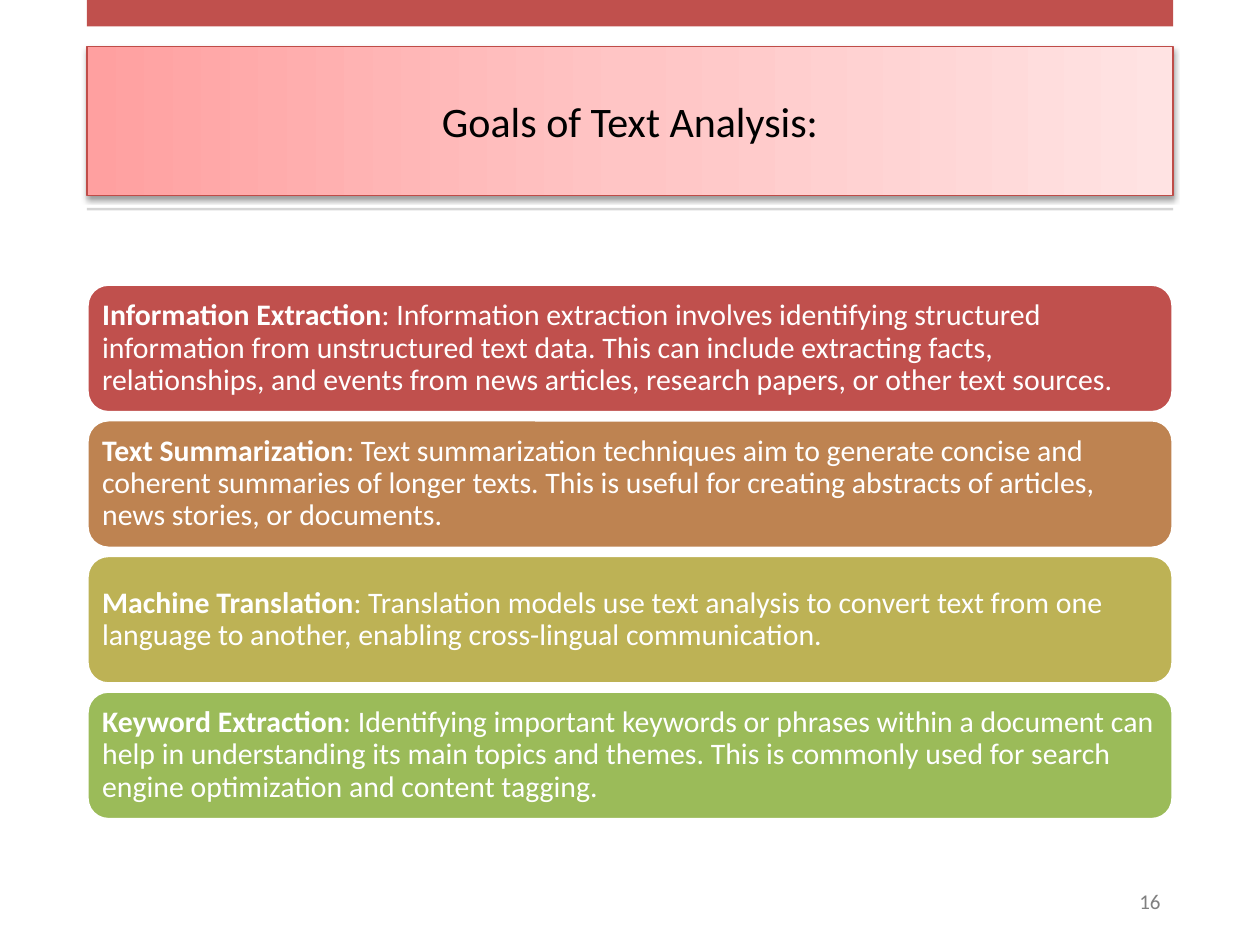
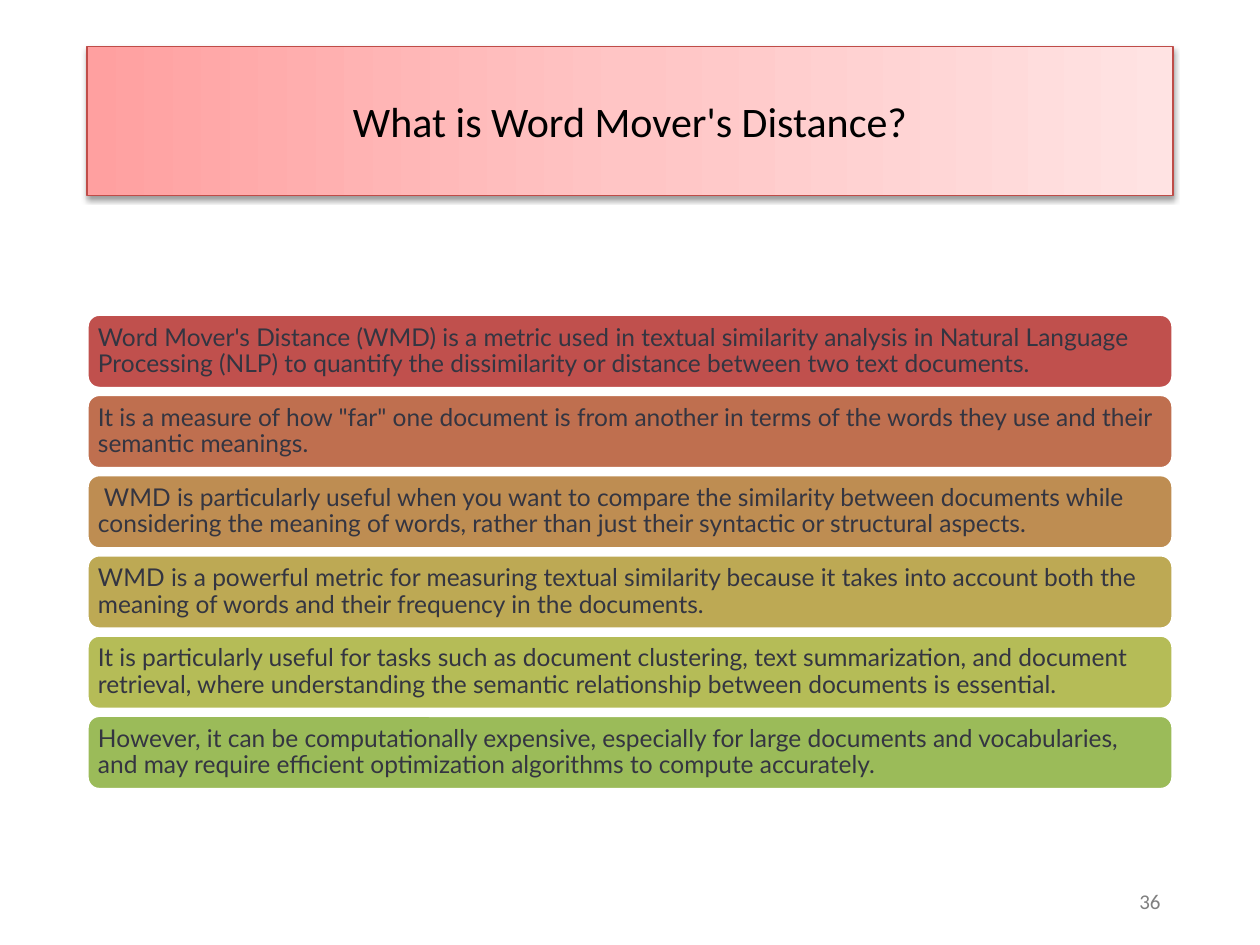
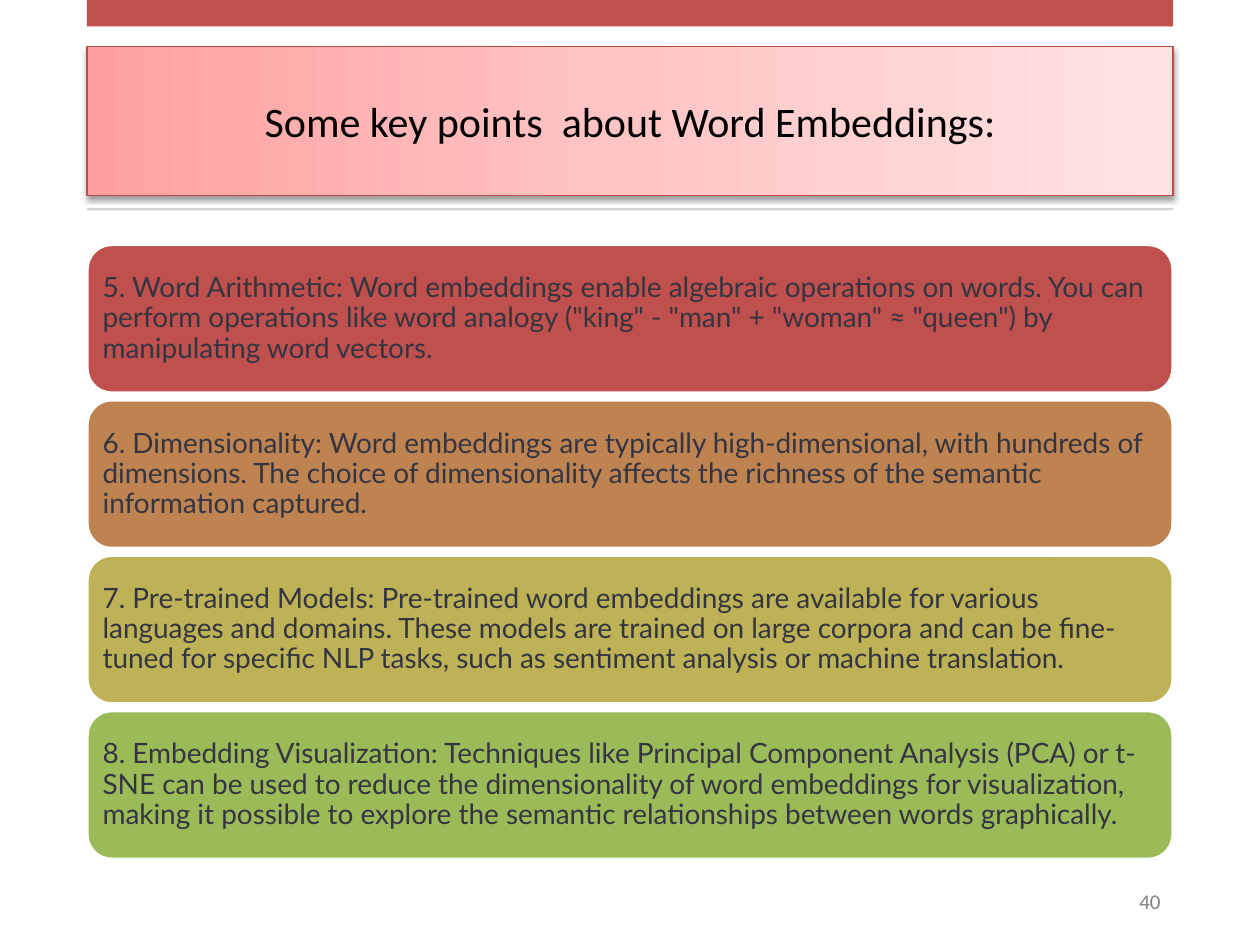
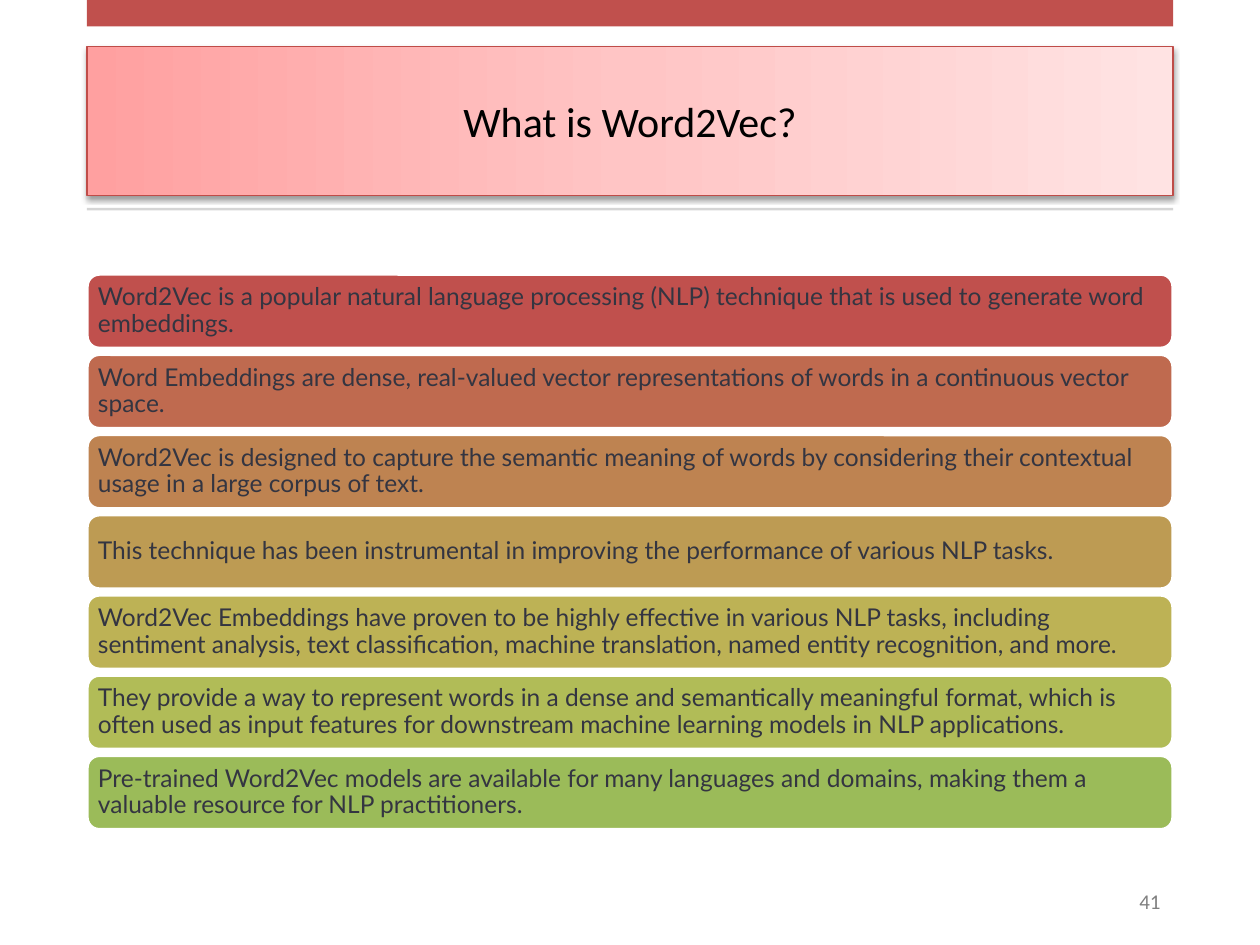
import colorsys

import lxml.etree
import pptx
import pptx.dml.color
import pptx.enum.shapes
import pptx.enum.text
import pptx.oxml
import pptx.oxml.ns
import pptx.util

COLS, ROWS = 100, 75
LEFT, WIDE = 6.9, 86.2
MIDDLE = 43.8
HUES = {
    "red": "C0504D", "green": "9BBB59", "edge": "BF4C48", "rule": "D5D5D5",
    "white": "FFFFFF", "black": "000000", "ink": "343541", "grey": "808080",
    "rose": "FFA0A0", "pink": "FFC5C5", "blush": "FFE3E3",
}
KIND = pptx.enum.shapes.MSO_SHAPE
ALIGN = pptx.enum.text.PP_ALIGN

GOALS = [
    ("Information Extraction", ": Information extraction involves identifying structured information from unstructured text data. This can include extracting facts, relationships, and events from news articles, research papers, or other text sources."),
    ("Text Summarization", ": Text summarization techniques aim to generate concise and coherent summaries of longer texts. This is useful for creating abstracts of articles, news stories, or documents."),
    ("Machine Translation", ": Translation models use text analysis to convert text from one language to another, enabling cross-lingual communication."),
    ("Keyword Extraction", ": Identifying important keywords or phrases within a document can help in understanding its main topics and themes. This is commonly used for search engine optimization and content tagging."),
]
MOVER = [
    "Word Mover's Distance (WMD) is a metric used in textual similarity analysis in Natural Language Processing (NLP) to quantify the dissimilarity or distance between two text documents.",
    'It is a measure of how "far" one document is from another in terms of the words they use and their semantic meanings.',
    " WMD is particularly useful when you want to compare the similarity between documents while considering the meaning of words, rather than just their syntactic or structural aspects.",
    "WMD is a powerful metric for measuring textual similarity because it takes into account both the meaning of words and their frequency in the documents.",
    "It is particularly useful for tasks such as document clustering, text summarization, and document retrieval, where understanding the semantic relationship between documents is essential.",
    "However, it can be computationally expensive, especially for large documents and vocabularies, and may require efficient optimization algorithms to compute accurately.",
]
POINTS = [
    '5. Word Arithmetic: Word embeddings enable algebraic operations on words. You can perform operations like word analogy ("king" - "man" + "woman" ≈ "queen") by manipulating word vectors.',
    "6. Dimensionality: Word embeddings are typically high-dimensional, with hundreds of dimensions. The choice of dimensionality affects the richness of the semantic information captured.",
    "7. Pre-trained Models: Pre-trained word embeddings are available for various languages and domains. These models are trained on large corpora and can be fine-tuned for specific NLP tasks, such as sentiment analysis or machine translation.",
    "8. Embedding Visualization: Techniques like Principal Component Analysis (PCA) or t-SNE can be used to reduce the dimensionality of word embeddings for visualization, making it possible to explore the semantic relationships between words graphically.",
]
VECTORS = [
    "Word2Vec is a popular natural language processing (NLP) technique that is used to generate word embeddings.",
    "Word Embeddings are dense, real-valued vector representations of words in a continuous vector space.",
    "Word2Vec is designed to capture the semantic meaning of words by considering their contextual usage in a large corpus of text.",
    "This technique has been instrumental in improving the performance of various NLP tasks.",
    "Word2Vec Embeddings have proven to be highly effective in various NLP tasks, including sentiment analysis, text classification, machine translation, named entity recognition, and more.",
    "They provide a way to represent words in a dense and semantically meaningful format, which is often used as input features for downstream machine learning models in NLP applications.",
    "Pre-trained Word2Vec models are available for many languages and domains, making them a valuable resource for NLP practitioners.",
]


def rgb(code):
    return pptx.dml.color.RGBColor.from_string(code)


def cells(*counts):
    return [pptx.util.Inches(count / 10) for count in counts]


def blend(share):
    ends = [
        colorsys.rgb_to_hls(*(part / 255 for part in rgb(HUES[name])))
        for name in ("red", "green")
    ]
    mix = [low + (high - low) * share for low, high in zip(*ends)]
    return "".join(f"{round(part * 255):02X}" for part in colorsys.hls_to_rgb(*mix))


def write(shape, text, size=14, font="Calibri", hue="black", align=ALIGN.LEFT,
          lines=None, after=None, inset=None):
    frame = shape.text_frame
    frame.word_wrap = True
    frame.vertical_anchor = pptx.enum.text.MSO_ANCHOR.MIDDLE
    if inset is not None:
        frame.margin_left = frame.margin_right = inset
        frame.margin_top = frame.margin_bottom = inset
    para = frame.paragraphs[0]
    para.alignment = align
    para.line_spacing = lines
    para.space_after = after
    runs = [(text, False)] if isinstance(text, str) else zip(text, (True, False))
    for words, bold in runs:
        run = para.add_run()
        run.text = words
        run.font.size = pptx.util.Pt(size)
        run.font.name = font
        run.font.bold = bold
        run.font.color.rgb = rgb(HUES[hue])


def block(shapes, kind, box, fill, line=None, weight=1):
    shape = shapes.add_shape(kind, *cells(*box))
    shape.shadow.inherit = False
    shape.fill.solid()
    shape.fill.fore_color.rgb = rgb(fill)
    if line:
        shape.line.color.rgb = rgb(line)
        shape.line.width = pptx.util.Pt(weight)
    else:
        shape.line.fill.background()
    return shape


def shade(shape, hues):
    shape.fill.gradient()
    shape.fill.gradient_angle = 0
    tag = pptx.oxml.ns.qn
    stops = shape.fill.gradient_stops
    holder = shape.element.spPr.find(tag("a:gradFill")).find(tag("a:gsLst"))
    for stop in list(holder):
        holder.remove(stop)
    for spot, hue in enumerate(hues):
        stop = lxml.etree.SubElement(holder, tag("a:gs"))
        stop.set("pos", str(spot * 100000 // (len(hues) - 1)))
        lxml.etree.SubElement(stop, tag("a:srgbClr")).set("val", HUES[hue])


def cast(shape, blur, away, alpha):
    tag = pptx.oxml.ns.qn
    effect = shape.element.spPr.find(tag("a:effectLst"))
    shadow = lxml.etree.SubElement(effect, tag("a:outerShdw"))
    shadow.set("blurRad", str(pptx.util.Pt(blur)))
    shadow.set("dist", str(pptx.util.Pt(away)))
    shadow.set("dir", str(90 * 60000))
    shadow.set("rotWithShape", "0")
    color = lxml.etree.SubElement(shadow, tag("a:srgbClr"))
    color.set("val", HUES["black"])
    lxml.etree.SubElement(color, tag("a:alpha")).set("val", str(alpha * 1000))


def header(slide, title, bands):
    box = (LEFT, 3.7, WIDE, 11.8)
    panel = block(slide.shapes, KIND.RECTANGLE, box, HUES["pink"], HUES["edge"], 0.75)
    shade(panel, ("rose", "pink", "blush"))
    cast(panel, 3.1, 1.6, 38)
    write(panel, title, size=24, align=ALIGN.CENTER)
    if bands:
        for top, high, hue in ((0, 2.1, "red"), (16.5, 0.2, "rule")):
            block(slide.shapes, KIND.RECTANGLE, (LEFT, top, WIDE, high), HUES[hue])


def footer(slide, number):
    box = slide.shapes.add_textbox(*cells(71.5, 69.5, 21.6, 4))
    write(box, number, size=12, hue="grey", align=ALIGN.RIGHT, after=pptx.util.Pt(6))


def stack(slide, items, high, size, font="Lato", hue="ink"):
    group = slide.shapes.add_group_shape()
    step = high + size / 30
    first = MIDDLE - (step * (len(items) - 1) + high) / 2
    for row, item in enumerate(items):
        box = (LEFT, first + row * step, WIDE, high)
        fill = blend(row / (len(items) - 1))
        bar = block(group.shapes, KIND.ROUNDED_RECTANGLE, box, fill, HUES["white"], 2)
        write(bar, item, size=size, font=font, hue=hue, lines=0.9,
              inset=pptx.util.Inches(size / 240))


def page(deck, title, number, items, high, size, bands=True, **style):
    slide = deck.slides.add_slide(deck.slide_layouts[6])
    header(slide, title, bands)
    footer(slide, number)
    stack(slide, items, high, size, **style)


def main():
    deck = pptx.Presentation()
    deck.slide_width, deck.slide_height = cells(COLS, ROWS)
    page(deck, "Goals of Text Analysis:", "16", GOALS, 10.2, 17,
         font="Calibri", hue="white")
    page(deck, "What is Word Mover's Distance?", "36", MOVER, 5.9, 14, bands=False)
    page(deck, "Some key points  about Word Embeddings:", "40", POINTS, 11.8, 16)
    page(deck, "What is Word2Vec?", "41", VECTORS, 5.9, 14)
    deck.save("out.pptx")


if __name__ == "__main__":
    main()
